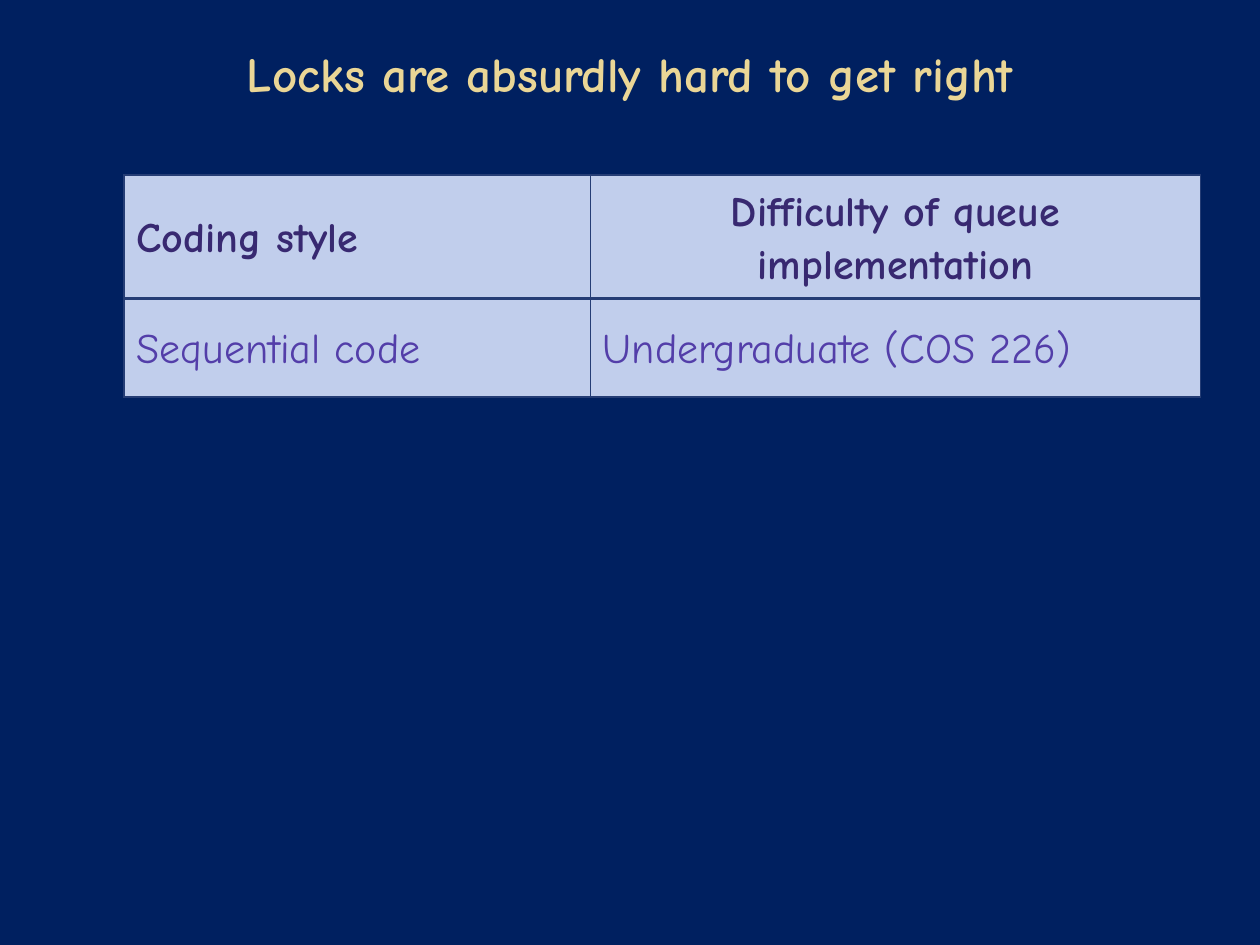
from lxml.etree import SubElement
from pptx import Presentation
from pptx.dml.color import RGBColor
from pptx.enum.text import MSO_ANCHOR, PP_ALIGN
from pptx.oxml.ns import qn
from pptx.util import Cm, Pt

FONT = "Comic Neue"
COLORS = {
    "background": "002060",
    "title": "EAD696",
    "header": "382971",
    "body": "533EA9",
    "cell": "C1CEEC",
    "border": "253D75",
}
ROWS = [
    ("Coding style", "Difficulty of queue implementation"),
    ("Sequential code", "Undergraduate (COS 226)"),
]


def rgb(name):
    return RGBColor.from_string(COLORS[name])


def format_runs(p, size, color, bold):
    for r in p.runs:
        r.font.name = FONT
        r.font.size = Pt(size)
        r.font.bold = bold
        r.font.color.rgb = rgb(color)


def add_title(s, left, top, width, height):
    tf = s.shapes.add_textbox(left, top, width, height).text_frame
    tf.word_wrap = True
    tf.vertical_anchor = MSO_ANCHOR.TOP
    tf.text = "Locks are absurdly hard to get right"
    p = tf.paragraphs[0]
    p.alignment = PP_ALIGN.CENTER
    format_runs(p, 28, "title", True)


def set_borders(cell, widths):
    """Draw the cell's edges; widths maps L, R, T and B to points."""
    tc_pr = cell._tc.get_or_add_tcPr()
    for side, width in widths.items():
        ln = SubElement(tc_pr, qn(f"a:ln{side}"), w=str(Pt(width)))
        fill = SubElement(ln, qn("a:solidFill"))
        SubElement(fill, qn("a:srgbClr"), val=COLORS["border"])


def fill_cell(cell, text, is_header, centred):
    # Borders must come before the fill in the cell properties.
    set_borders(cell, {"L": 1, "R": 1,
                       "T": 1 if is_header else 1.5,
                       "B": 1.5 if is_header else 1})
    cell.fill.solid()
    cell.fill.fore_color.rgb = rgb("cell")
    cell.vertical_anchor = MSO_ANCHOR.MIDDLE
    cell.text_frame.text = text
    p = cell.text_frame.paragraphs[0]
    p.alignment = PP_ALIGN.CENTER if centred else PP_ALIGN.LEFT
    p.line_spacing = 1.1
    format_runs(p, 24, "header" if is_header else "body", is_header)


def add_difficulty_table(s, left, top, col_widths, row_height):
    table = s.shapes.add_table(
        len(ROWS), len(col_widths), left, top,
        sum(col_widths), row_height * len(ROWS)).table
    table.horz_banding = False
    for column, width in zip(table.columns, col_widths):
        column.width = width
    for i, texts in enumerate(ROWS):
        table.rows[i].height = row_height
        for j, text in enumerate(texts):
            fill_cell(table.cell(i, j), text, i == 0, i == 0 and j == 1)


def main():
    prs = Presentation()
    prs.slide_width, prs.slide_height = Cm(25.4), Cm(19.05)
    s = prs.slides.add_slide(prs.slide_layouts[6])
    s.background.fill.solid()
    s.background.fill.fore_color.rgb = rgb("background")
    add_title(s, Cm(1.27), Cm(0.76), Cm(22.86), Cm(3.18))
    add_difficulty_table(s, Cm(2.5), Cm(3.53), (Cm(9.4), Cm(12.3)), Cm(1.98))
    prs.save("out.pptx")


if __name__ == "__main__":
    main()
